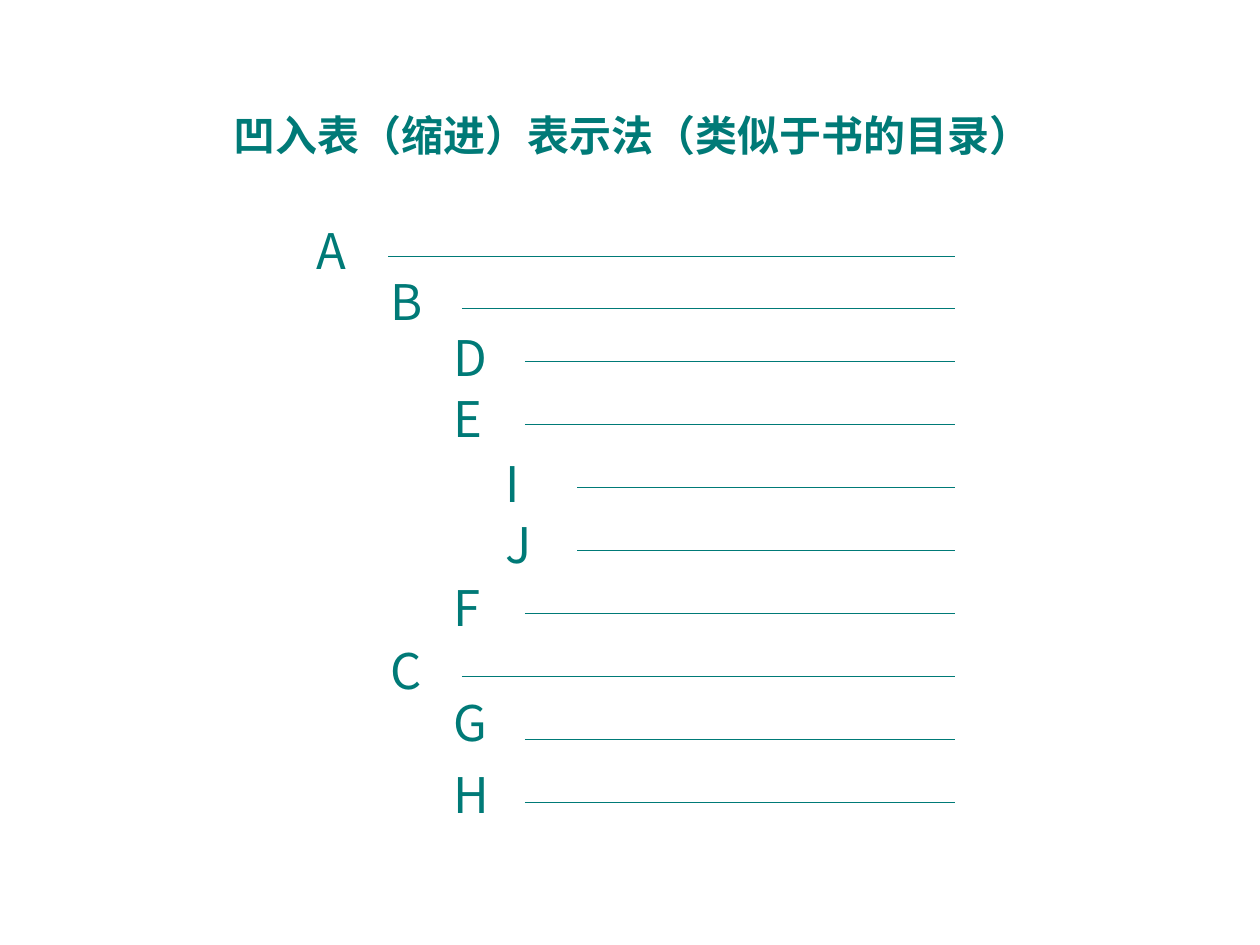
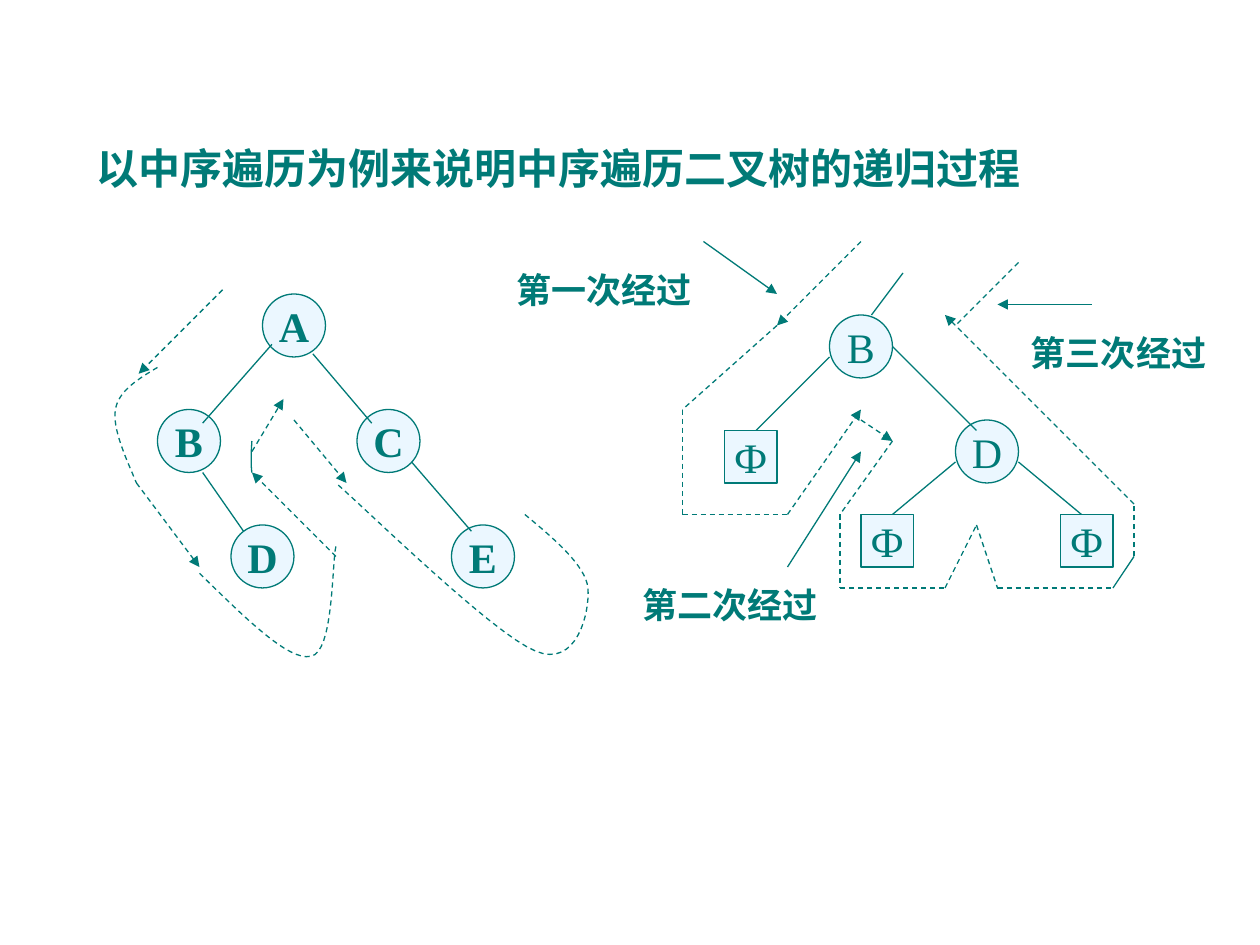
from itertools import pairwise

from lxml.etree import SubElement
from pptx import Presentation
from pptx.dml.color import RGBColor
from pptx.enum.dml import MSO_LINE
from pptx.enum.lang import MSO_LANGUAGE_ID as LANG
from pptx.enum.shapes import MSO_CONNECTOR, MSO_SHAPE
from pptx.enum.text import MSO_ANCHOR, MSO_AUTO_SIZE, PP_ALIGN
from pptx.oxml.ns import qn
from pptx.util import Inches, Pt

TEAL = RGBColor(0x00, 0x7A, 0x77)
PALE = RGBColor(0xEB, 0xF7, 0xFF)
SERIF, SANS = "Times New Roman", "Noto Sans CJK JP"

# The slide is a grid of 120 columns by 90 rows
WIDTH, HEIGHT = Inches(10), Inches(7.5)
CELL = WIDTH / 120

TITLE = dict(size=Pt(24), name=SERIF, bold=True)
LABEL = dict(size=Pt(20), name=SERIF, bold=True)
LETTER = dict(size=Pt(28), name=SANS, bold=False)
NODE = dict(size=Pt(24), name=SERIF, bold=False)
NODE_BOLD = dict(NODE, bold=True)

# Indented list: letter, depth, row of the letter box, row of the rule
INDENTS = [29, 36, 42, 47]
RULE_GAP, RULE_END = 8, 91
ENTRIES = [
    ("A", 0, 20.4, 24.4), ("B", 1, 25.3, 29.4), ("D", 2, 30.6, 34.4),
    ("E", 2, 36.4, 40.4), ("I", 3, 42.6, 46.4), ("J", 3, 48.4, 52.4),
    ("F", 2, 54.4, 58.4), ("C", 1, 60.4, 64.4), ("G", 2, 65.4, 70.4),
    ("H", 2, 72.2, 76.4),
]

# Whole tree: nodes, edges and the walk around them
TREE_NODES = [("A", 25, 28), ("B", 15, 39), ("C", 34, 39),
              ("D", 22, 50), ("E", 43, 50)]
TREE_EDGES = [
    [(25.9, 32.8), (19.3, 40.3)], [(29.8, 33.7), (35.4, 40.3)],
    [(19.3, 45), (23.2, 50.6)], [(39.2, 44), (44.9, 50.6)],
]
TREE_ARROWS = [
    [(21.2, 27.6), (13.2, 35.6)], [(13, 46), (19, 54)],
    [(32, 53), (24, 45)], [(24, 43), (27, 38)], [(28, 40), (33, 46)],
]
BACK_CURVE = [(24, 42), (23.9, 43.2), (23.9, 44.5), (24, 45)]
WALK_CURVES = [
    [(15, 35), (13.2, 36.1), (11.3, 37.2), (11, 39),
     (10.7, 40.8), (11.9, 43.4), (13, 46)],
    [(19, 54.6), (23.3, 58.8), (27.5, 63), (29.6, 62.5),
     (31.8, 62.2), (31.6, 53.6), (32, 52)],
    [(50, 49), (52.9, 51.4), (55.8, 53.9), (56, 56), (56.2, 58.2),
     (55, 63.7), (51, 62), (47, 60.4), (35.2, 48.8), (32, 46)],
]

# Subtree of B: nodes, edges, the walk and the three passes
SUBTREE_NODES = [("B", 79, 30), ("D", 91, 40)]
EMPTY_NODES = [(69, 41), (82, 49), (101, 49)]
SUBTREE_EDGES = [
    [(86, 26), (83, 30)], [(79, 34), (72, 41)], [(85, 33), (93, 41)],
    [(91, 44), (85, 49)], [(97, 44), (103, 49)], [(106, 56), (108, 53)],
]
WALK_ARROWS = [
    [(82, 23), (74, 31)],
    [(74, 31), (65, 39), (65, 49), (75, 49), (82, 39)],
    [(82, 40), (85, 42)],
    [(108, 53), (108, 48), (90, 30)],
]
WALK_LINES = [
    [(85, 42), (80, 49), (80, 56), (90, 56), (93, 50), (95, 56), (106, 56)],
    [(97, 25), (91, 31)],
]
PASS_ARROWS = [[(67, 23), (74, 28)], [(75, 54), (82, 43)],
               [(104, 29), (95, 29)]]
PASS_LABELS = [("第一次经过", 48, 25, 22), ("第二次经过", 60, 55, 21),
               ("第三次经过", 97, 31, 20)]


def cells(*counts):
    return [round(n * CELL) for n in counts]


def write(sp, text, style, align=PP_ALIGN.LEFT, **frame):
    """Put one line of text in a shape."""
    tf = sp.text_frame
    for key, value in frame.items():
        setattr(tf, key, value)
    p = tf.paragraphs[0]
    p.alignment = align
    r = p.add_run()
    r.text = text
    for key, value in style.items():
        setattr(r.font, key, value)
    r.font.color.rgb = TEAL
    r.font.language_id = LANG.SIMPLIFIED_CHINESE
    SubElement(r.font._element, qn("a:ea")).set("typeface", SANS)
    return p


def grow_text(sp, text, style):
    return write(sp, text, style, word_wrap=True,
                 vertical_anchor=MSO_ANCHOR.TOP,
                 auto_size=MSO_AUTO_SIZE.SHAPE_TO_FIT_TEXT)


def add_title(s, text, left, top, width, height, spacing=1.0):
    sp = s.shapes.title
    sp.left, sp.top, sp.width, sp.height = cells(left, top, width, height)
    grow_text(sp, text, TITLE).line_spacing = spacing


def add_text(s, text, style, left, top, width, height):
    sp = s.shapes.add_textbox(*cells(left, top, width, height))
    grow_text(sp, text, style)


def add_node(s, text, left, top, size=6, kind=MSO_SHAPE.OVAL, style=NODE):
    sp = s.shapes.add_shape(kind, *cells(left, top, size, size))
    sp.shadow.inherit = False
    sp.fill.solid()
    sp.fill.fore_color.rgb = PALE
    draw_line(sp.line)
    write(sp, text, style, PP_ALIGN.CENTER, word_wrap=False,
          vertical_anchor=MSO_ANCHOR.MIDDLE)


def draw_line(line, dashed=False):
    line.color.rgb = TEAL
    line.width = Pt(0.75)
    if dashed:
        line.dash_style = MSO_LINE.DASH


def add_route(s, points, dashed=False, arrow=False):
    """Join the points by lines; an arrowhead goes on the last one."""
    for start, end in pairwise(points):
        c = s.shapes.add_connector(MSO_CONNECTOR.STRAIGHT,
                                   *cells(*start, *end))
        draw_line(c.line, dashed)
        if arrow and end == points[-1]:
            SubElement(c.line._get_or_add_ln(), qn("a:tailEnd"),
                       type="triangle")
        SubElement(c._element.spPr, qn("a:effectLst"))


def bezier(knots, t):
    weights = (1 - t) ** 3, 3 * t * (1 - t) ** 2, 3 * t * t * (1 - t), t ** 3
    return tuple(sum(w * v for w, v in zip(weights, axis))
                 for axis in zip(*knots))


def add_curve(s, knots, dashed=True, steps=16):
    """Draw a chain of cubic curves that share their end knots."""
    points = [bezier(knots[i:i + 4], n / steps)
              for i in range(0, len(knots) - 1, 3)
              for n in range(1, steps + 1)]
    builder = s.shapes.build_freeform(*cells(*knots[0]), scale=1.0)
    builder.add_line_segments([cells(*pt) for pt in points], close=False)
    sp = builder.convert_to_shape()
    sp.shadow.inherit = False
    sp.fill.background()
    draw_line(sp.line, dashed)


def build_indented_list(s):
    add_title(s, "凹入表（缩进）表示法（类似于书的目录）",
              21, 8.4, 82.4, 7.4, spacing=1.3)
    for letter, depth, row, rule in ENTRIES:
        left = INDENTS[depth]
        add_text(s, letter, LETTER, left, row, 6, 6.8)
        add_route(s, [(left + RULE_GAP, rule), (RULE_END, rule)])


def build_traversal(s):
    add_title(s, "以中序遍历为例来说明中序遍历二叉树的递归过程", 8, 13, 109, 6)

    # Nodes
    for node in TREE_NODES:
        add_node(s, *node, style=NODE_BOLD)
    for node in SUBTREE_NODES:
        add_node(s, *node)
    for left, top in EMPTY_NODES:
        add_node(s, "Ф", left, top, size=5, kind=MSO_SHAPE.RECTANGLE)

    # Edges and walks
    for edge in TREE_EDGES + SUBTREE_EDGES:
        add_route(s, edge)
    for route in TREE_ARROWS + WALK_ARROWS:
        add_route(s, route, dashed=True, arrow=True)
    for route in WALK_LINES:
        add_route(s, route, dashed=True)
    add_curve(s, BACK_CURVE, dashed=False)
    for knots in WALK_CURVES:
        add_curve(s, knots)

    # The three passes
    for arrow in PASS_ARROWS:
        add_route(s, arrow, arrow=True)
    for text, left, top, width in PASS_LABELS:
        add_text(s, text, LABEL, left, top, width, 5.25)


def main():
    prs = Presentation()
    prs.slide_width, prs.slide_height = WIDTH, HEIGHT
    for build in (build_indented_list, build_traversal):
        build(prs.slides.add_slide(prs.slide_layouts[5]))
    prs.save("out.pptx")


if __name__ == "__main__":
    main()
